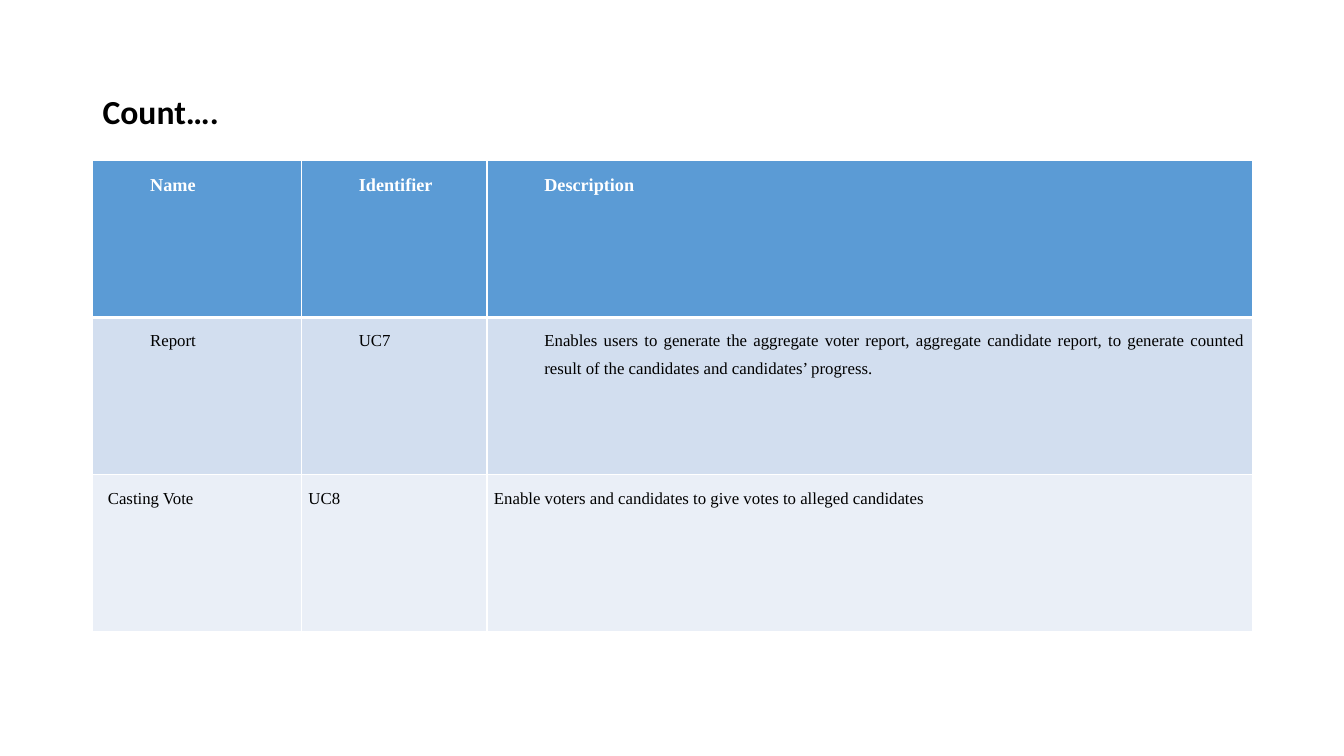
from dataclasses import dataclass

from lxml import etree
from pptx import Presentation
from pptx import util as u
from pptx.dml.color import RGBColor
from pptx.enum import text
from pptx.oxml.ns import qn


@dataclass(frozen=True)
class Theme:
    """Colours, fonts and type sizes of the slide."""
    black: str = "000000"
    white: str = "FFFFFF"
    header: str = "5B9BD5"
    bands: tuple = ("D2DEEF", "EAEFF7")
    title_font: str = "Calibri"
    table_font: str = "Times New Roman"
    title_size: float = 24
    header_size: float = 13
    body_size: float = 12


THEME = Theme()
WIDTH, HEIGHT = 13.33, 7.5
TITLE_BOX = (0.92, 0.4, 11.5, 1.45)
TABLE_BOX = (0.92, 1.59, 11.5, 4.68)
COLUMN_SHARES = (0.18, 0.16, 0.66)
ROWS = (
    ("Name", "Identifier", "Description"),
    ("Report", "UC7",
     "Enables users to generate the aggregate voter report, aggregate candidate report, "
     "to generate counted result of the candidates and candidates’ progress."),
    ("Casting Vote", "UC8",
     "Enable voters and candidates to give votes to alleged candidates"),
)


def write(frame, words, *, font, size, color, bold=False, align=text.PP_ALIGN.LEFT,
          line=1.0, space=0, margin=0, indent=0):
    """Write one formatted paragraph into a text frame."""
    paragraph = frame.paragraphs[0]
    paragraph.alignment = align
    paragraph.line_spacing = line
    paragraph.space_before = paragraph.space_after = u.Pt(space)
    properties = paragraph._p.get_or_add_pPr()
    properties.set("marL", str(u.Inches(margin)))
    properties.set("indent", str(u.Inches(indent)))
    run = paragraph.add_run()
    run.text = words
    run.font.name = font
    run.font.size = u.Pt(size)
    run.font.bold = bold
    run.font.color.rgb = RGBColor.from_string(color)


def draw_borders(cell, color, widths):
    """Give a cell solid borders, with widths in points by side."""
    properties = cell._tc.get_or_add_tcPr()
    for side, width in widths.items():
        border = etree.SubElement(properties, qn(f"a:ln{side}"), w=str(u.Pt(width)))
        fill = etree.SubElement(border, qn("a:solidFill"))
        etree.SubElement(fill, qn("a:srgbClr"), val=color)


def add_title(slide, box, words):
    """Place the slide title, centred vertically in its box."""
    frame = slide.shapes.add_textbox(*map(u.Inches, box)).text_frame
    frame.word_wrap = True
    frame.vertical_anchor = text.MSO_ANCHOR.MIDDLE
    write(frame, words, font=THEME.title_font, size=THEME.title_size,
          color=THEME.black, bold=True, line=0.9)


def format_cell(cell, words, row, column):
    """Fill, border and write one cell according to its place in the table."""
    is_header = row == 0
    top, bottom = (3 if row == 1 else 1), (3 if is_header else 1)
    draw_borders(cell, THEME.white, {"L": 1, "R": 1, "T": top, "B": bottom})
    cell.fill.solid()
    color = THEME.header if is_header else THEME.bands[(row - 1) % 2]
    cell.fill.fore_color.rgb = RGBColor.from_string(color)
    cell.margin_left = cell.margin_right = u.Inches(0.07)
    cell.margin_top = cell.margin_bottom = u.Inches(0.05)
    is_last = row == len(ROWS) - 1
    write(cell.text_frame, words, font=THEME.table_font,
          size=THEME.header_size if is_header else THEME.body_size,
          color=THEME.white if is_header else THEME.black, bold=is_header,
          align=text.PP_ALIGN.JUSTIFY, line=1.5, space=0.5,
          margin=0 if is_last else 0.5,
          indent=0.08 if is_last and column == 0 else 0)


def add_use_case_table(slide, box, rows):
    """Place the use case table, with equal rows and shared-out columns."""
    shape = slide.shapes.add_table(len(rows), len(COLUMN_SHARES), *map(u.Inches, box))
    table = shape.table
    for column, share in zip(table.columns, COLUMN_SHARES):
        column.width = u.Inches(box[2] * share)
    for row, entries in enumerate(rows):
        table.rows[row].height = u.Inches(box[3] / len(rows))
        for column, words in enumerate(entries):
            format_cell(table.cell(row, column), words, row, column)


def main():
    """Build and save the presentation."""
    presentation = Presentation()
    presentation.slide_width = u.Inches(WIDTH)
    presentation.slide_height = u.Inches(HEIGHT)
    slide = presentation.slides.add_slide(presentation.slide_layouts[6])
    add_title(slide, TITLE_BOX, "Count….")
    add_use_case_table(slide, TABLE_BOX, ROWS)
    presentation.save("out.pptx")


if __name__ == "__main__":
    main()
